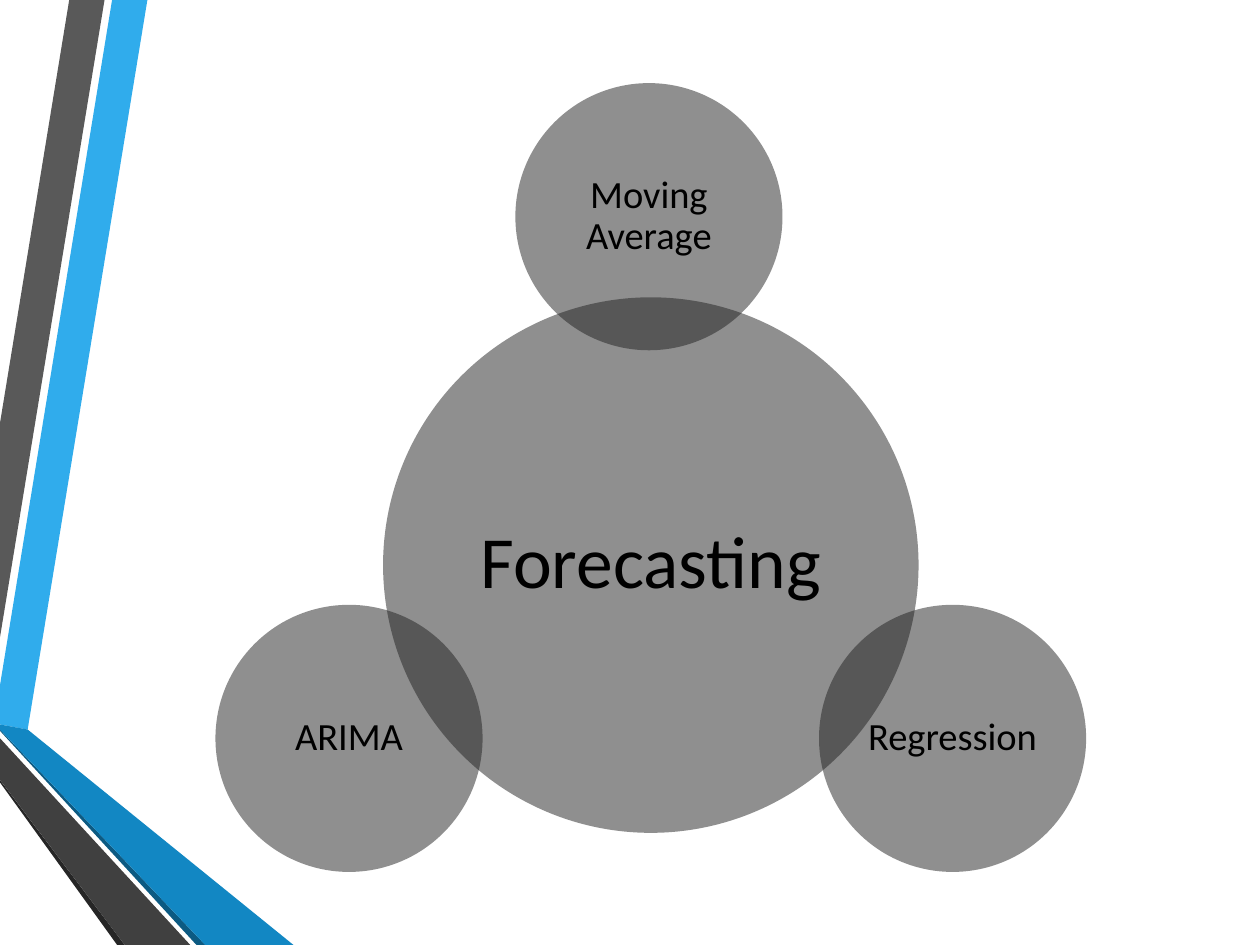
from dataclasses import dataclass

from pptx import Presentation
from pptx.dml.color import RGBColor
from pptx.enum.shapes import MSO_SHAPE
from pptx.enum.text import MSO_ANCHOR, PP_ALIGN
from pptx.oxml.xmlchemy import OxmlElement
from pptx.shapes.autoshape import Shape
from pptx.slide import Slide
from pptx.util import Inches, Pt


@dataclass(frozen=True)
class Ribbon:
    color: str
    points: tuple[tuple[float, float], ...]


@dataclass(frozen=True)
class Circle:
    label: str
    left: float
    top: float
    diameter: float
    font_size: int
    inset: float


RIBBONS = (
    Ribbon("30ACEC", ((0, 5.44), (0, 5.75), (0.22, 5.79), (1.17, 0), (0.89, 0))),
    Ribbon("595959", ((0.83, 0), (0.55, 0), (0, 3.36), (0, 5.06))),
    Ribbon("262626", ((0, 6.19), (0, 6.21), (0.93, 7.5), (0.99, 7.5))),
    Ribbon("0C5A82", ((0, 5.79), (0, 5.8), (1.56, 7.5), (1.63, 7.5))),
    Ribbon("1287C3", ((0, 5.79), (1.63, 7.5), (2.33, 7.5), (0.22, 5.79), (0, 5.75))),
    Ribbon("404040", ((0, 6.19), (0.99, 7.5), (1.51, 7.5), (0, 5.86))),
)

SMALL_DIAMETER = 2.12
CIRCLES = (
    Circle("Forecasting", 3.04, 2.36, 4.25, 42, 0.06),
    Circle("Moving Average", 4.09, 0.66, SMALL_DIAMETER, 22, 0.03),
    Circle("Regression", 6.5, 4.8, SMALL_DIAMETER, 22, 0.03),
    Circle("ARIMA", 1.71, 4.8, SMALL_DIAMETER, 22, 0.03),
)


def fill_shape(shape: Shape, color: str) -> None:
    shape.shadow.inherit = False
    shape.fill.solid()
    shape.fill.fore_color.rgb = RGBColor.from_string(color)
    shape.line.fill.background()


def set_opacity(shape: Shape, percent: int) -> None:
    color = shape.fill._xPr.find(".//{*}srgbClr")
    alpha = OxmlElement("a:alpha")
    alpha.set("val", str(percent * 1000))
    color.append(alpha)


def draw_ribbon(slide: Slide, ribbon: Ribbon) -> None:
    points = [(Inches(x), Inches(y)) for x, y in ribbon.points]
    builder = slide.shapes.build_freeform(*points[0])
    builder.add_line_segments(points[1:], close=True)
    fill_shape(builder.convert_to_shape(), ribbon.color)


def draw_circle(slide: Slide, circle: Circle) -> None:
    diameter = Inches(circle.diameter)
    shape = slide.shapes.add_shape(
        MSO_SHAPE.OVAL, Inches(circle.left), Inches(circle.top), diameter, diameter
    )
    fill_shape(shape, "212121")
    set_opacity(shape, 50)
    text_frame = shape.text_frame
    text_frame.text = circle.label
    text_frame.word_wrap = True
    text_frame.vertical_anchor = MSO_ANCHOR.MIDDLE
    text_frame.margin_left = text_frame.margin_right = Inches(circle.inset)
    text_frame.margin_top = text_frame.margin_bottom = Inches(circle.inset)
    paragraph = text_frame.paragraphs[0]
    paragraph.alignment = PP_ALIGN.CENTER
    paragraph.line_spacing = 0.9
    font = paragraph.runs[0].font
    font.name = "Calibri"
    font.size = Pt(circle.font_size)
    font.color.rgb = RGBColor.from_string("000000")


def main() -> None:
    presentation = Presentation()
    presentation.slide_width = Inches(10)
    presentation.slide_height = Inches(7.5)
    slide = presentation.slides.add_slide(presentation.slide_layouts.get_by_name("Blank"))
    for ribbon in RIBBONS:
        draw_ribbon(slide, ribbon)
    for circle in CIRCLES:
        draw_circle(slide, circle)
    presentation.save("out.pptx")


if __name__ == "__main__":
    main()
